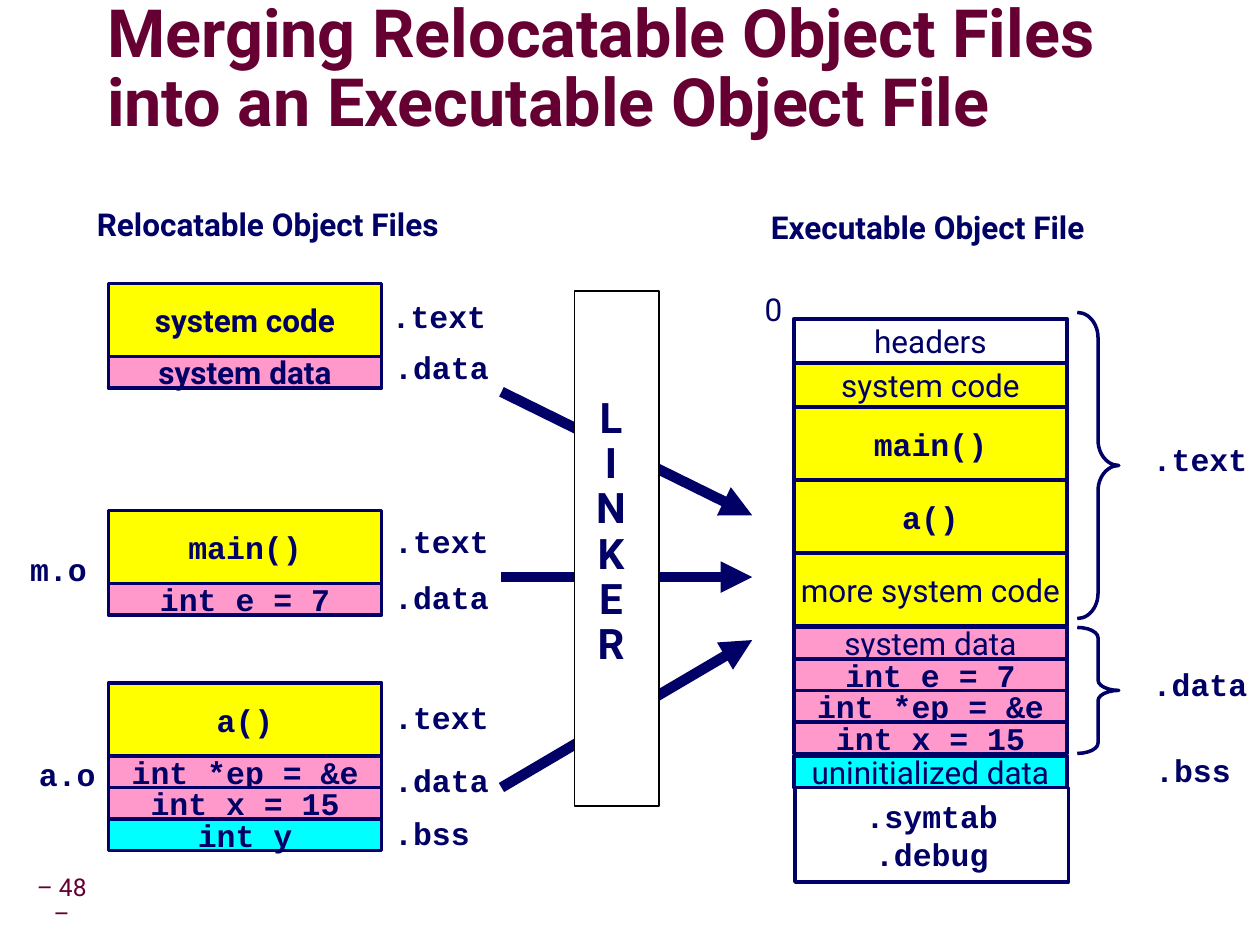
from lxml.etree import SubElement
from pptx import Presentation
from pptx.dml.color import RGBColor
from pptx.enum.shapes import MSO_CONNECTOR, MSO_SHAPE
from pptx.enum.text import MSO_ANCHOR, MSO_AUTO_SIZE, PP_ALIGN
from pptx.oxml.ns import qn
from pptx.util import Inches, Pt

SANS, MONO = "Roboto", "Courier New"
NAVY, MAROON, BLACK, WHITE = "000066", "660033", "000000", "FFFFFF"
YELLOW, PINK, CYAN = "FFFF00", "FF99CC", "00FFFF"

TITLE = "Merging Relocatable Object Files into an Executable Object File"
CELL_WIDTH = 2.17
LEFT, RIGHT = 0.86, 6.3
TALL, MEDIUM, SHORT = 0.58, 0.35, 0.25

STACKS = [
    (LEFT, 2.25, [("system code", TALL, YELLOW, SANS, True),
                  ("system data", SHORT, PINK, SANS, True)]),
    (LEFT, 4.05, [("main()", TALL, YELLOW, MONO, True),
                  ("int e = 7", SHORT, PINK, MONO, True)]),
    (LEFT, 5.42, [("a()", TALL, YELLOW, MONO, True),
                  ("int *ep = &e", SHORT, PINK, MONO, True),
                  ("int x = 15", SHORT, PINK, MONO, True),
                  ("int y", SHORT, CYAN, MONO, True)]),
    (RIGHT, 2.53, [("headers", MEDIUM, WHITE, SANS, False),
                   ("system code", MEDIUM, YELLOW, SANS, False),
                   ("main()", TALL, YELLOW, MONO, True),
                   ("a()", TALL, YELLOW, MONO, True),
                   ("more system code", TALL, YELLOW, SANS, False)]),
    (RIGHT, 4.98, [("system data", SHORT, PINK, SANS, False),
                   ("int e = 7", SHORT, PINK, MONO, True),
                   ("int *ep = &e", SHORT, PINK, MONO, True),
                   ("int x = 15", SHORT, PINK, MONO, True)]),
    (RIGHT + 0.01, 6.25, [(".symtab\n.debug", 0.75, WHITE, MONO, True)]),
    (RIGHT, 6, [("uninitialized data", SHORT, CYAN, SANS, False)]),
]
LABELS = [
    ("Relocatable Object Files", 0.67, 1.58, 3.09, SANS, True),
    ("Executable Object File", 6.02, 1.6, 2.87, SANS, True),
    ("0", 5.97, 2.25, 0.34, SANS, False),
    ("m.o", 0.14, 4.32, 0.65, MONO, True),
    ("a.o", 0.21, 5.94, 0.65, MONO, True),
    (".text", 3.01, 2.31, 0.95, MONO, True),
    (".data", 3.03, 2.71, 0.95, MONO, True),
    (".text", 3.03, 4.09, 0.95, MONO, True),
    (".data", 3.03, 4.54, 0.95, MONO, True),
    (".text", 3.03, 5.49, 0.95, MONO, True),
    (".data", 3.03, 5.99, 0.95, MONO, True),
    (".bss", 3.03, 6.41, 1.1, MONO, True),
    (".text", 9.05, 3.44, 0.95, MONO, True),
    (".data", 9.05, 5.23, 0.95, MONO, True),
    (".bss", 9.07, 5.91, 0.8, MONO, True),
]
BRACES = [(2.48, 2.43, 0.61), (4.98, 1, 0.25)]
ARROWS = [(4.58, 4.58), (3.11, 4.09), (6.25, 5.08)]


def color(value):
    return RGBColor.from_string(value)


def inches(*lengths):
    return [Inches(length) for length in lengths]


def write(shape, text, font, size=18, bold=True, ink=NAVY, align=PP_ALIGN.CENTER,
          spacing=None, wrap=False, anchor=MSO_ANCHOR.MIDDLE):
    frame = shape.text_frame
    frame.text = text
    frame.word_wrap = wrap
    frame.vertical_anchor = anchor
    for paragraph in frame.paragraphs:
        paragraph.alignment = align
        if spacing:
            paragraph.line_spacing = spacing
        paragraph.font.name = font
        paragraph.font.size = Pt(size)
        paragraph.font.bold = bold
        paragraph.font.color.rgb = color(ink)
    return frame


def add_preset(slide, kind, box, fill=None, ink=NAVY, weight=2):
    shape = slide.shapes.add_shape(kind, *inches(*box))
    shape.shadow.inherit = False
    if fill:
        shape.fill.solid()
        shape.fill.fore_color.rgb = color(fill)
    else:
        shape.fill.background()
    shape.line.color.rgb = color(ink)
    shape.line.width = Pt(weight)
    return shape


def add_title(slide):
    title = slide.shapes.title
    title.left, title.top, title.width, title.height = inches(0.85, 0.25, 8.31, 0.63)
    frame = write(title, TITLE, SANS, 38, ink=MAROON, align=PP_ALIGN.LEFT,
                  spacing=0.87, wrap=True)
    frame.auto_size = MSO_AUTO_SIZE.NONE
    frame.margin_left = frame.margin_right = frame.margin_top = frame.margin_bottom = 0
    span = frame.paragraphs[0].runs[0]
    effects = SubElement(span._r.get_or_add_rPr(), qn("a:effectLst"))
    shadow = SubElement(effects, qn("a:outerShdw"), blurRad="38100", dist="38100", dir="2700000")
    SubElement(shadow, qn("a:srgbClr"), val="C0C0C0")


def add_page_number(slide):
    box = slide.shapes.add_textbox(*inches(0.24, 7, 0.66, 0.31))
    frame = write(box, "– 48 –", SANS, 14, False, MAROON, spacing=0.9, wrap=True)
    frame.margin_left = frame.margin_top = frame.margin_bottom = Inches(0.05)
    frame.margin_right = Inches(0.21)


def add_arrow(slide, start, end):
    arrow = slide.shapes.add_connector(MSO_CONNECTOR.STRAIGHT, *inches(3.98, start, 5.97, end))
    arrow.line.color.rgb = color(NAVY)
    arrow.line.width = Pt(6)
    SubElement(arrow.line._get_or_add_ln(), qn("a:tailEnd"), type="triangle")
    SubElement(arrow._element.spPr, qn("a:effectLst"))


def main():
    deck = Presentation()
    deck.slide_width, deck.slide_height = inches(10, 7.5)
    slide = deck.slides.add_slide(deck.slide_layouts[5])
    add_title(slide)
    add_page_number(slide)

    for left, top, cells in STACKS:
        for text, height, fill, font, bold in cells:
            cell = add_preset(slide, MSO_SHAPE.RECTANGLE, (left, top, CELL_WIDTH, height), fill)
            write(cell, text, font, bold=bold)
            top += height

    for text, left, top, width, font, bold in LABELS:
        box = slide.shapes.add_textbox(*inches(left, top, width, 0.4))
        frame = write(box, text, font, bold=bold, align=PP_ALIGN.LEFT, anchor=MSO_ANCHOR.TOP)
        frame.auto_size = MSO_AUTO_SIZE.SHAPE_TO_FIT_TEXT

    for top, height, curve in BRACES:
        brace = add_preset(slide, MSO_SHAPE.RIGHT_BRACE, (8.55, top, 0.33, height))
        brace.adjustments[0] = curve
        brace.adjustments[1] = 0.5

    for start, end in ARROWS:
        add_arrow(slide, start, end)

    add_preset(slide, MSO_SHAPE.RECTANGLE, (4.56, 2.31, 0.67, 4.09), WHITE, BLACK, 1)
    box = slide.shapes.add_textbox(*inches(4.58, 3.1, 0.54, 2.29))
    write(box, "\n".join("LINKER"), SANS, 24, spacing=0.9, wrap=True, anchor=MSO_ANCHOR.TOP)

    deck.save("out.pptx")


if __name__ == "__main__":
    main()
